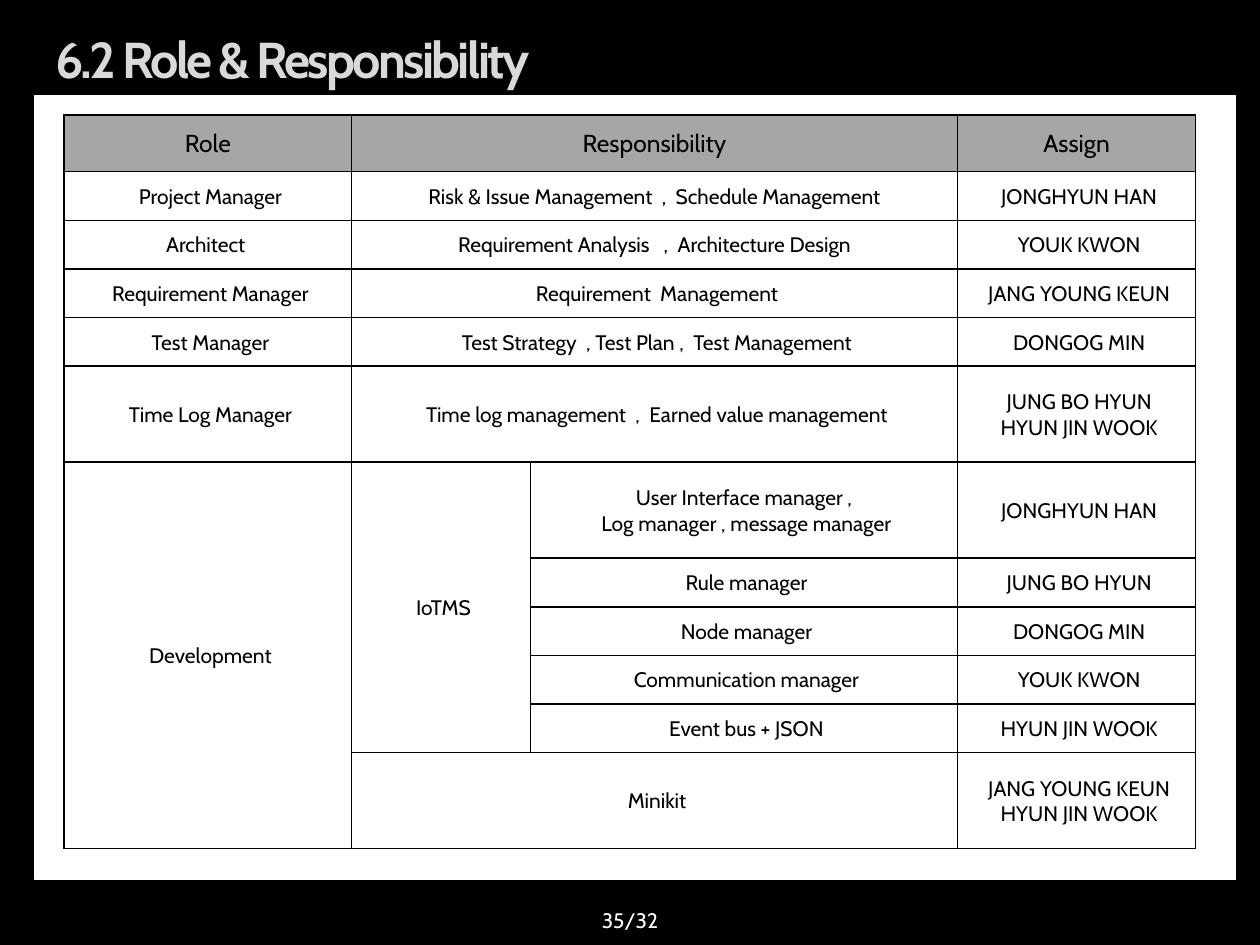
"""Build the role and responsibility slide."""
from typing import NamedTuple, Optional

from lxml.etree import SubElement
from pptx import Presentation
from pptx.dml.color import RGBColor as RGB
from pptx.enum.shapes import MSO_SHAPE as Shape
from pptx.enum.text import MSO_ANCHOR as Anchor, PP_ALIGN as Align
from pptx.oxml import parse_xml
from pptx.oxml.ns import nsdecls, qn
from pptx.util import Pt

FONT = "Cabin"
COLORS = {"black": "000000", "white": "FFFFFF", "header": "A6A6A6"}
TITLE_STOPS = {1: "F2F2F2", 50: "D9D9D9", 100: "595959"}
COL_WIDTHS = (164.2, 102.2, 244.1, 136.1)
HEADER, SINGLE, DOUBLE = 32.4, 27.8, 54.9


class Row(NamedTuple):
    height: float
    role: Optional[str]
    area: Optional[str]
    detail: Optional[str]
    assign: str


class Merge(NamedTuple):
    top: int
    left: int
    bottom: int
    right: int


ROWS = [
    Row(HEADER, "Role", "Responsibility", None, "Assign"),
    Row(SINGLE, "Project Manager", "Risk & Issue Management  ,  Schedule Management ", None, "JONGHYUN HAN"),
    Row(SINGLE, "Architect  ", "Requirement Analysis   ,  Architecture Design ", None, "YOUK KWON"),
    Row(SINGLE, "Requirement Manager", "Requirement  Management", None, "JANG YOUNG KEUN"),
    Row(SINGLE, "Test Manager", "Test Strategy  , Test Plan ,  Test Management", None, "DONGOG MIN"),
    Row(DOUBLE, "Time Log Manager", "Time log management  ,  Earned value management", None,
        "JUNG BO HYUN\nHYUN JIN WOOK"),
    Row(DOUBLE, "Development", "IoTMS", "User Interface manager , \nLog manager , message manager", "JONGHYUN HAN"),
    Row(SINGLE, None, None, "Rule manager", "JUNG BO HYUN"),
    Row(SINGLE, None, None, "Node manager", "DONGOG MIN"),
    Row(SINGLE, None, None, "Communication manager", "YOUK KWON"),
    Row(SINGLE, None, None, "Event bus + JSON", "HYUN JIN WOOK"),
    Row(DOUBLE, None, "Minikit", None, "JANG YOUNG KEUN\nHYUN JIN WOOK"),
]
MERGES = [Merge(i, 1, i, 2) for i, row in enumerate(ROWS) if row.area and not row.detail]
MERGES += [Merge(6, 0, 11, 0), Merge(6, 1, 10, 1)]


def rgb(name: str) -> RGB:
    """Look up a named colour."""
    return RGB.from_string(COLORS[name])


def write(tf, text: str, *, size: float, color: str = "black", bold: bool = False, align=Align.CENTER) -> None:
    """Write lines of text as formatted paragraphs."""
    for i, line in enumerate(text.split("\n")):
        p = tf.add_paragraph() if i else tf.paragraphs[0]
        p.alignment = align
        r = p.add_run()
        r.text = line
        r.font.name, r.font.size, r.font.bold = FONT, Pt(size), bold
        r.font.color.rgb = rgb(color)


def add_text(s, x: float, y: float, w: float, h: float, text: str, **style):
    """Add a vertically centred text box."""
    tf = s.shapes.add_textbox(Pt(x), Pt(y), Pt(w), Pt(h)).text_frame
    tf.word_wrap = True
    tf.vertical_anchor = Anchor.MIDDLE
    write(tf, text, **style)
    return tf


def shade_title(tf) -> None:
    """Give the title its gradient and tight letter spacing."""
    rpr = tf.paragraphs[0].runs[0].font._element
    stops = "".join(f'<a:gs pos="{pos * 1000}"><a:srgbClr val="{c}"/></a:gs>' for pos, c in TITLE_STOPS.items())
    grad = parse_xml(f'<a:gradFill {nsdecls("a")}><a:gsLst>{stops}</a:gsLst><a:lin ang="5400000"/></a:gradFill>')
    rpr.replace(rpr.find(qn("a:solidFill")), grad)
    rpr.set("spc", "-150")


def style_cell(cell, header: bool) -> None:
    """Set borders, fill, margins and anchor of a cell."""
    tc_pr = cell._tc.get_or_add_tcPr()
    for side in "LRTB":
        ln = SubElement(tc_pr, qn(f"a:ln{side}"), w=str(Pt(1)))
        SubElement(SubElement(ln, qn("a:solidFill")), qn("a:srgbClr"), val=COLORS["black"])
    cell.fill.solid()
    cell.fill.fore_color.rgb = rgb("header" if header else "white")
    cell.margin_left, cell.margin_right = (Pt(0.72), Pt(0.72)) if header else (Pt(5.76), Pt(2.88))
    cell.margin_top, cell.margin_bottom = Pt(0.72), Pt(0)
    cell.vertical_anchor = Anchor.MIDDLE


def add_roles(s, x: float, y: float) -> None:
    """Draw the role table."""
    w, h = sum(COL_WIDTHS), sum(row.height for row in ROWS)
    table = s.shapes.add_table(len(ROWS), len(COL_WIDTHS), Pt(x), Pt(y), Pt(w), Pt(h)).table
    table.first_row = table.horz_banding = False
    for col, width in zip(table.columns, COL_WIDTHS):
        col.width = Pt(width)
    for i, row in enumerate(ROWS):
        table.rows[i].height = Pt(row.height)
        for j, text in enumerate(row[1:]):
            cell = table.cell(i, j)
            style_cell(cell, i == 0)
            if text:
                write(cell.text_frame, text, size=12 if i else 14)
    for m in MERGES:
        table.cell(m.top, m.left).merge(table.cell(m.bottom, m.right))


def main() -> None:
    """Build and save the slide."""
    prs = Presentation()
    prs.slide_width, prs.slide_height = Pt(720), Pt(540)
    s = prs.slides.add_slide(prs.slide_layouts[6])
    s.background.fill.solid()
    s.background.fill.fore_color.rgb = rgb("black")

    sp = s.shapes.add_shape(Shape.RECTANGLE, Pt(20), Pt(54.7), Pt(686), Pt(448))
    sp.shadow.inherit = False
    sp.fill.solid()
    sp.fill.fore_color.rgb = sp.line.color.rgb = rgb("white")
    sp.line.width = Pt(0.75)

    title = add_text(s, 24.5, 15.1, 658, 36.7, "6.2 Role & Responsibility",
                     size=28.8, color="white", bold=True, align=Align.LEFT)
    shade_title(title)
    add_text(s, 276, 511.2, 168, 28.8, "35/32", size=12, color="white")
    add_roles(s, 36.7, 65.7)
    prs.save("out.pptx")


if __name__ == "__main__":
    main()
